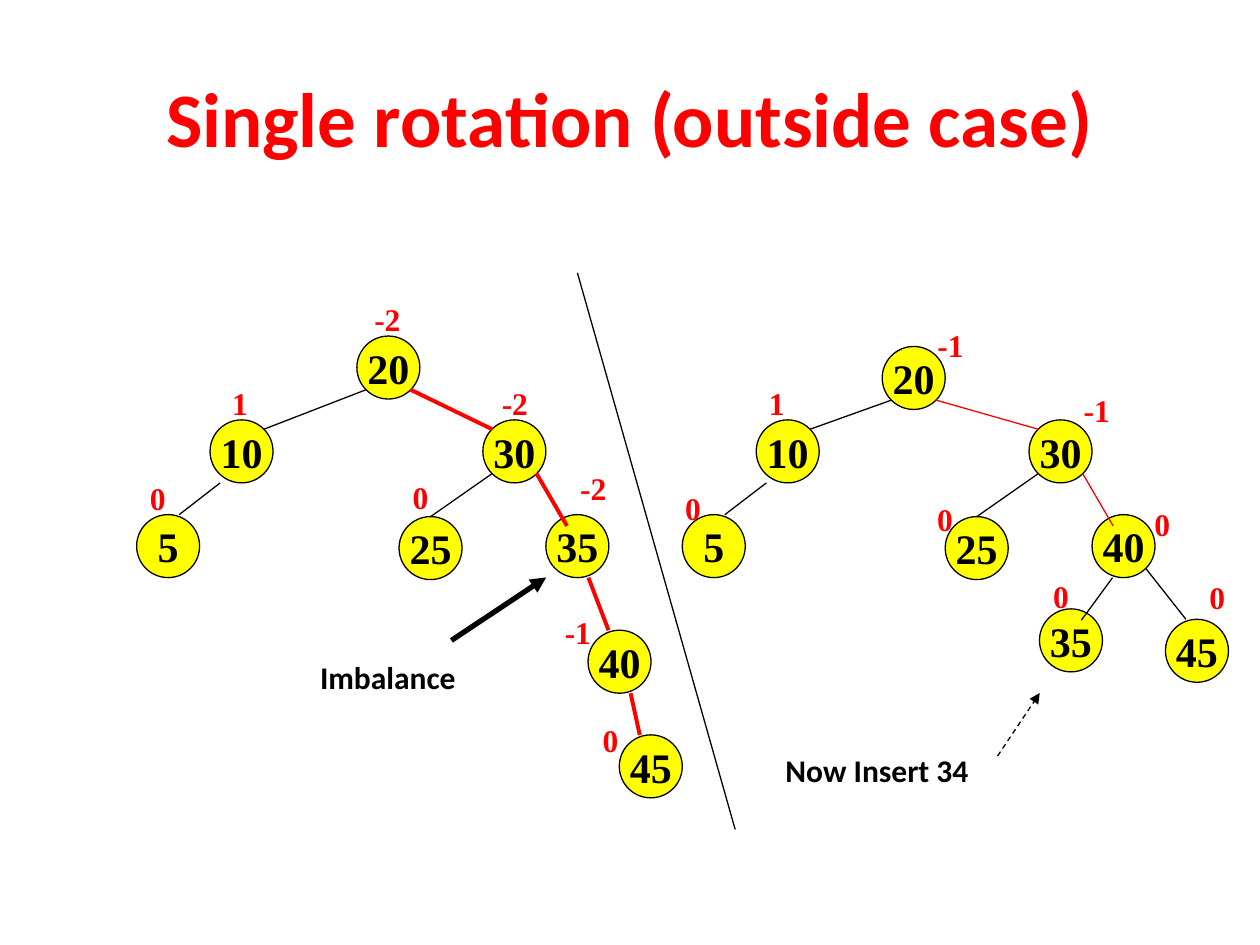
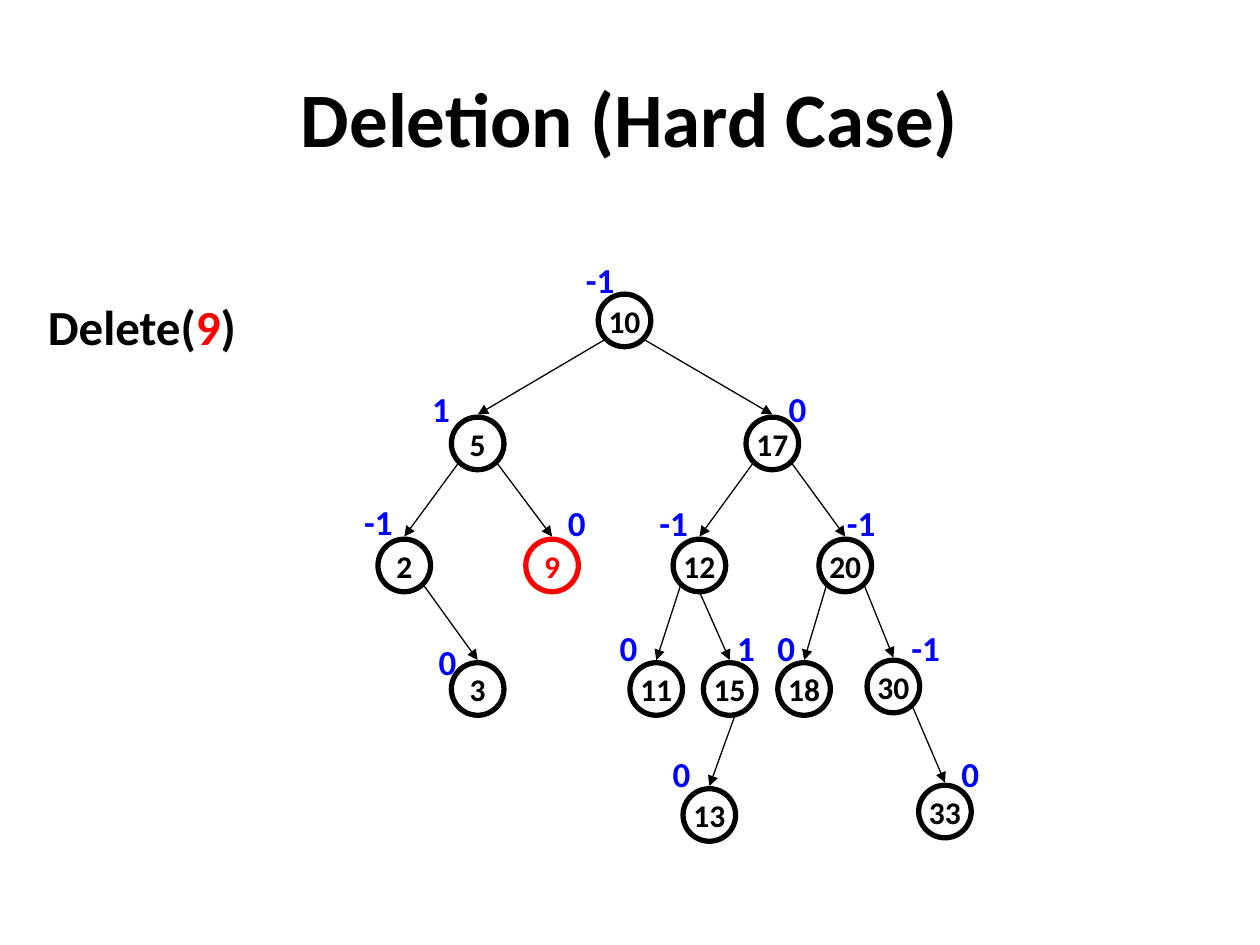
from dataclasses import dataclass
from typing import NamedTuple

from lxml.etree import SubElement as Sub
from pptx import Presentation
from pptx.dml.color import RGBColor as Rgb
from pptx.enum.dml import MSO_LINE as Dash
from pptx.enum.shapes import MSO_CONNECTOR as Conn, MSO_SHAPE as Shape
from pptx.enum.text import MSO_ANCHOR as Anchor, MSO_AUTO_SIZE as Auto, PP_ALIGN as Align
from pptx.oxml.ns import qn
from pptx.util import Cm, Pt

HUES = {"black": "000000", "red": "FF0000", "yellow": "FFFF00", "blue": "0000FF"}
SANS, SERIF = "Calibri", "Times New Roman"
TITLE_BOX = {"left": Cm(1.27), "top": Cm(0.76), "width": Cm(22.86), "height": Cm(3.18)}
FRAME = {"word_wrap": False, "auto_size": Auto.NONE, "vertical_anchor": Anchor.MIDDLE,
         "margin_left": 0, "margin_right": 0, "margin_top": 0, "margin_bottom": 0}

# Points on a node's rim, in radii from its centre
Spot = tuple[float, float]
SW, SE, NW, NE = (-0.7, 0.7), (0.7, 0.7), (-0.7, -0.7), (0.7, -0.7)
TOP, LOW, TIP = (0, -1), (0, 1), (0, -1.1)
TOP_L, TOP_R = (-0.35, -1), (0.35, -1)
LOW_L, LOW_R, LOW_MID = (-0.35, 1), (0.35, 1), (0.2, 1)
FAR_L = (-0.68, 1)
IN_L, IN_R = (-0.33, -0.64), (0.33, -0.64)


class Node(NamedTuple):
    """Key and centre, then balance factor and its centre, in cm."""
    key: str
    x: float
    y: float
    bal: str
    bx: float
    by: float
    hue: str = "black"


class Edge(NamedTuple):
    start: str
    end: str
    out: Spot
    into: Spot
    hue: str = "black"
    wide: float = 0.75


@dataclass(frozen=True)
class Look:
    rad: float
    fill: str | None
    rim: float
    font: str
    size: int
    bal_hue: str
    bal_size: int
    arrow: bool


PLAIN = Look(0.635, "yellow", 0.75, SERIF, 24, "red", 18, False)
RING = Look(0.53, None, 3, SANS, 18, "blue", 20, True)

LEFT = [
    Node("20", 7.83, 7.41, "-2", 7.81, 6.43),
    Node("10", 4.87, 9.1, "1", 4.84, 8.13),
    Node("30", 10.37, 9.1, "-2", 10.38, 8.13),
    Node("25", 8.68, 11.05, "0", 8.48, 10.01),
    Node("5", 3.39, 11.01, "0", 3.18, 10.03),
    Node("35", 11.64, 11.01, "-2", 11.96, 9.83),
    Node("40", 12.49, 13.34, "-1", 11.65, 12.73),
    Node("45", 13.12, 15.45, "0", 12.31, 14.91),
]
RIGHT = [
    Node("20", 18.42, 7.62, "-1", 19.16, 6.96),
    Node("10", 15.88, 9.1, "1", 15.66, 8.13),
    Node("30", 21.38, 9.1, "-1", 22.11, 8.26),
    Node("25", 19.69, 11.05, "0", 19.05, 10.46),
    Node("5", 14.39, 11.01, "0", 13.97, 10.24),
    Node("40", 22.65, 11.01, "0", 23.43, 10.57),
    Node("35", 21.59, 12.91, "0", 21.39, 12.01),
    Node("45", 24.13, 13.12, "0", 24.54, 12.04),
]
SHARED = [
    Edge("20", "10", SW, NE),
    Edge("30", "25", SW, TOP),
    Edge("10", "5", FAR_L, TOP_R),
]
LEFT_EDGES = SHARED + [
    Edge("20", "30", SE, NW, "red", 2.25),
    Edge("30", "35", SE, IN_L, "red", 2.25),
    Edge("35", "40", LOW_R, TOP_L, "red", 2.25),
    Edge("40", "45", LOW_R, TOP_L, "red", 2.25),
]
RIGHT_EDGES = SHARED + [
    Edge("20", "30", SE, NW, "red"),
    Edge("30", "40", SE, IN_L, "red"),
    Edge("40", "45", SE, TOP_L),
    Edge("40", "35", LOW_L, IN_R),
]
HARD = [
    Node("10", 12.59, 6.46, "-1", 12.1, 5.64),
    Node("5", 9.63, 8.94, "1", 8.89, 8.23),
    Node("17", 15.57, 8.94, "0", 16.08, 8.23),
    Node("2", 8.15, 11.4, "-1", 7.63, 10.52),
    Node("9", 11.13, 11.4, "0", 11.63, 10.54, "red"),
    Node("12", 14.1, 11.4, "-1", 13.58, 10.54),
    Node("20", 17.04, 11.4, "-1", 17.36, 10.54),
    Node("3", 9.63, 13.89, "0", 9.02, 13.34),
    Node("11", 13.23, 13.89, "0", 12.67, 13.06),
    Node("15", 14.71, 13.89, "1", 15.04, 13.06),
    Node("18", 16.21, 13.89, "0", 15.85, 13.06),
    Node("30", 18.01, 13.84, "-1", 18.66, 13.06),
    Node("13", 14.3, 16.43, "0", 13.74, 15.6),
    Node("33", 19.05, 16.36, "0", 19.56, 15.6),
]
HARD_EDGES = [Edge(a, b, out, TIP) for a, b, out in [
    ("10", "5", SW), ("10", "17", SE), ("5", "2", SW), ("5", "9", SE),
    ("17", "12", SW), ("17", "20", SE), ("2", "3", SE), ("12", "11", SW),
    ("12", "15", LOW), ("20", "18", SW), ("20", "30", SE),
    ("15", "13", LOW_MID), ("30", "33", SE),
]]


def rgb(hue: str) -> Rgb:
    return Rgb.from_string(HUES[hue])


def apply(item, form: dict) -> None:
    for name, val in form.items():
        setattr(item, name, val)


def write(frame, parts: list[tuple[str, str]], font: str, size: int) -> None:
    """Fill a frame with one centred line of (text, hue) runs."""
    apply(frame, FRAME)
    para = frame.paragraphs[0]
    para.alignment = Align.CENTER
    for text, hue in parts:
        run = para.add_run()
        run.text = text
        apply(run.font, {"name": font, "size": Pt(size), "bold": True})
        run.font.color.rgb = rgb(hue)


def label(slide, x: float, y: float, wide: float, parts, font: str, size: int) -> None:
    """Add a text box centred on x, y."""
    high = size * 0.056
    box = slide.shapes.add_textbox(Cm(x - wide / 2), Cm(y - high / 2), Cm(wide), Cm(high))
    write(box.text_frame, parts, font, size)


def line(slide, start: Spot, end: Spot, hue: str = "black", wide: float = 0.75,
         arrow: bool = False, dash: bool = False) -> None:
    link = slide.shapes.add_connector(Conn.STRAIGHT, *map(Cm, start + end))
    link.line.color.rgb = rgb(hue)
    link.line.width = Pt(wide)
    if dash:
        link.line.dash_style = Dash.DASH
    props = link._element.spPr
    if arrow:
        Sub(props.find(qn("a:ln")), qn("a:tailEnd"), type="triangle")
    Sub(props, qn("a:effectLst"))


def disc(slide, node: Node, look: Look) -> None:
    side = Cm(2 * look.rad)
    oval = slide.shapes.add_shape(
        Shape.OVAL, Cm(node.x - look.rad), Cm(node.y - look.rad), side, side)
    oval.shadow.inherit = False
    if look.fill:
        oval.fill.solid()
        oval.fill.fore_color.rgb = rgb(look.fill)
    else:
        oval.fill.background()
    oval.line.color.rgb = rgb(node.hue)
    oval.line.width = Pt(look.rim)
    write(oval.text_frame, [(node.key, node.hue)], look.font, look.size)


def tree(slide, nodes: list[Node], edges: list[Edge], look: Look) -> None:
    for node in nodes:
        disc(slide, node, look)
    by_key = {node.key: node for node in nodes}

    def rim(key: str, spot: Spot) -> Spot:
        node = by_key[key]
        return node.x + spot[0] * look.rad, node.y + spot[1] * look.rad

    for edge in edges:
        line(slide, rim(edge.start, edge.out), rim(edge.end, edge.into),
             edge.hue, edge.wide, look.arrow)
    for node in nodes:
        label(slide, node.bx, node.by, 0.4 + 0.3 * len(node.bal),
              [(node.bal, look.bal_hue)], look.font, look.bal_size)


def page(deck, title: str, hue: str):
    slide = deck.slides.add_slide(deck.slide_layouts[5])
    head = slide.shapes.title
    apply(head, TITLE_BOX)
    write(head.text_frame, [(title, hue)], SANS, 44)
    return slide


def rotate(deck) -> None:
    slide = page(deck, "Single rotation (outside case)", "red")
    tree(slide, LEFT, LEFT_EDGES, PLAIN)
    tree(slide, RIGHT, RIGHT_EDGES, PLAIN)
    line(slide, (11.64, 5.5), (14.82, 16.72))
    label(slide, 7.82, 13.64, 3.81, [("Imbalance", "black")], SANS, 18)
    line(slide, (9.1, 12.91), (11.01, 11.64), wide=3, arrow=True)
    label(slide, 17.68, 15.52, 5.28, [("Now Insert 34", "black")], SANS, 18)
    line(slide, (20.11, 15.24), (20.96, 13.97), arrow=True, dash=True)


def delete(deck) -> None:
    slide = page(deck, "Deletion (Hard Case)", "black")
    parts = [("Delete(", "black"), ("9", "red"), (")", "black")]
    label(slide, 2.86, 6.57, 4.34, parts, SANS, 28)
    tree(slide, HARD, HARD_EDGES, RING)


def main() -> None:
    deck = Presentation()
    apply(deck, {"slide_width": Cm(25.4), "slide_height": Cm(19.05)})
    rotate(deck)
    delete(deck)
    deck.save("out.pptx")


if __name__ == "__main__":
    main()
